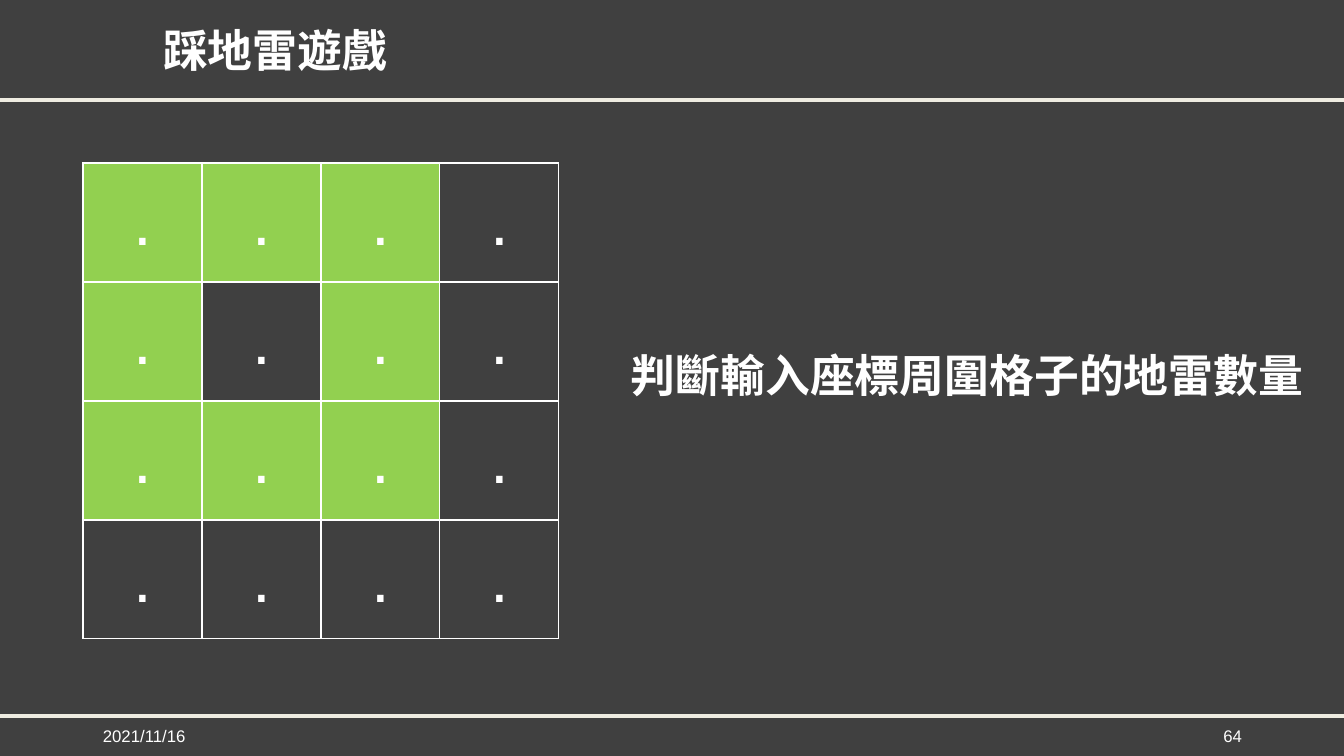
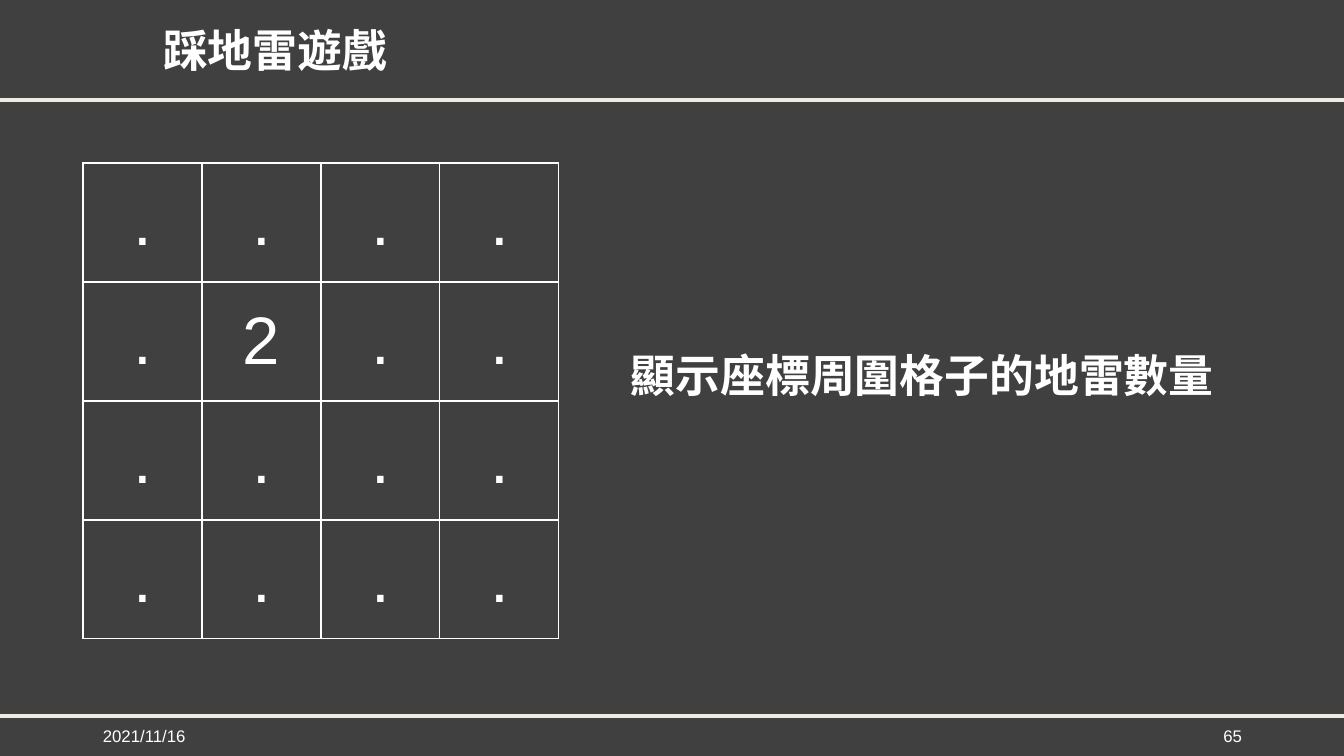
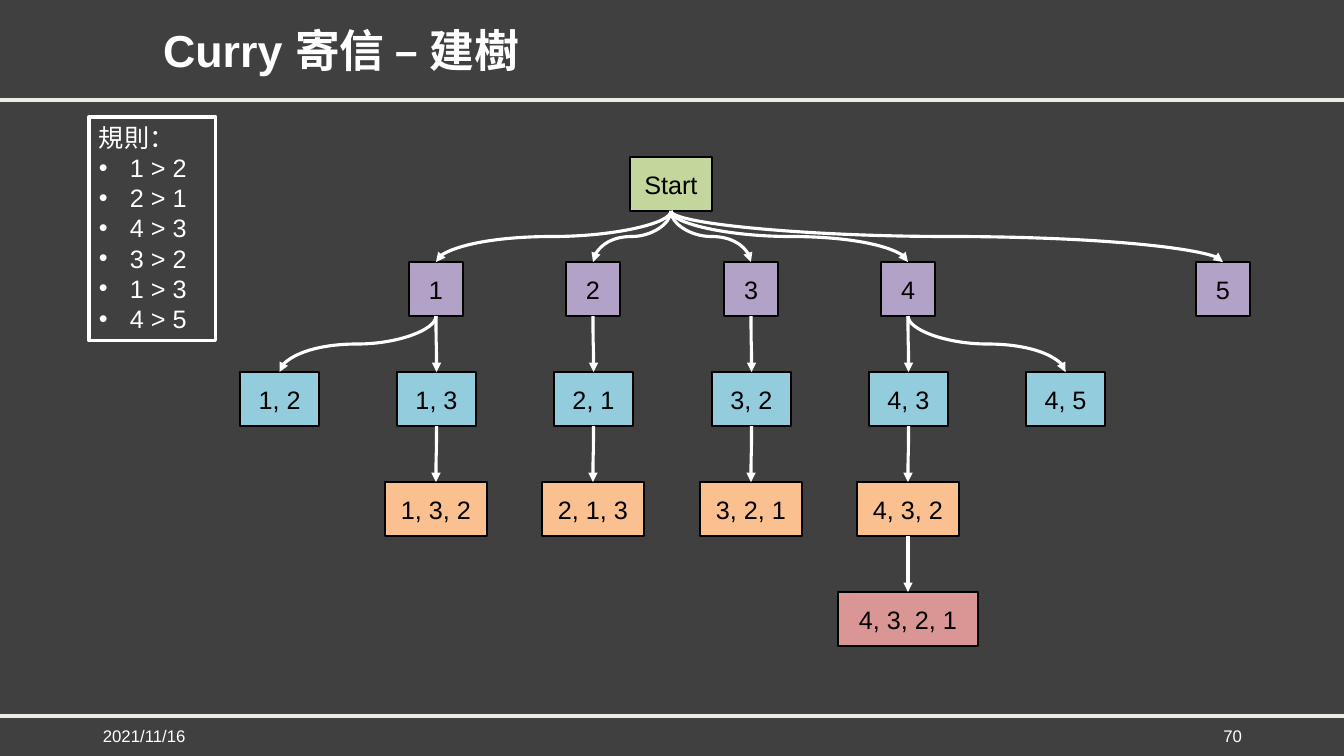
import lxml.etree
import pptx
import pptx.dml.color
import pptx.enum.shapes
import pptx.enum.text
import pptx.oxml.ns
import pptx.util

RGB = pptx.dml.color.RGBColor
Pt = pptx.util.Pt
ALIGN = pptx.enum.text.PP_ALIGN
ANCHOR = pptx.enum.text.MSO_ANCHOR
FIT = pptx.enum.text.MSO_AUTO_SIZE
LINK = pptx.enum.shapes.MSO_CONNECTOR
RECT = pptx.enum.shapes.MSO_SHAPE.RECTANGLE
qn = pptx.oxml.ns.qn

GREY = RGB(0x40, 0x40, 0x40)
CREAM = RGB(0xEE, 0xEC, 0xE1)
WHITE = RGB(0xFF, 0xFF, 0xFF)
BLACK = RGB(0x00, 0x00, 0x00)
GREEN = RGB(0x92, 0xD0, 0x50)
OLIVE = RGB(0xC3, 0xD6, 0x9B)
PURPLE = RGB(0xB3, 0xA2, 0xC7)
AQUA = RGB(0x93, 0xCD, 0xDD)
ORANGE = RGB(0xFA, 0xC0, 0x90)
ROSE = RGB(0xD9, 0x96, 0x94)

FONT = "Arial"
DATE = "2021/11/16"
WIDE, HIGH = 1344, 756
SCALE = 914400 / 100.8

MINES = "踩地雷遊戲"
DOTS = ["....", "....", "....", "...."]
COUNT = ["....", ".2..", "....", "...."]
RING = {(r, c) for r in range(3) for c in range(3)} - {(1, 1)}
RULES = ["規則：", "1 > 2", "2 > 1", "4 > 3", "3 > 2", "1 > 3", "4 > 5"]
LEVELS = [(54, PURPLE), (79, AQUA), (102, ORANGE), (140, ROSE)]
NODES = {
    "1": 1, "2": 2, "3": 3, "4": 4, "5": 6,
    "1, 2": 0, "1, 3": 1, "2, 1": 2, "3, 2": 3, "4, 3": 4, "4, 5": 5,
    "1, 3, 2": 1, "2, 1, 3": 2, "3, 2, 1": 3, "4, 3, 2": 4,
    "4, 3, 2, 1": 4,
}


def px(num):
    """Turn px into EMU."""
    return round(num * SCALE)


def add(parent, tag, **attrs):
    """Append an XML child in the drawing namespace."""
    return lxml.etree.SubElement(parent, qn(tag), attrs)


def style(frame, size, color=WHITE, bold=False, align=ALIGN.LEFT, space=None):
    """Format every paragraph and run of a text frame."""
    for para in frame.paragraphs:
        para.alignment = align
        para.line_spacing = space
        for run in para.runs:
            font = run.font
            font.name, font.size, font.bold = FONT, Pt(size), bold
            font.color.rgb = color


def place(shape, x, y, w, h):
    """Set the place and size of a shape."""
    shape.left, shape.top = px(x), px(y)
    shape.width, shape.height = px(w), px(h)


def label(slide, box, text, size, anchor=ANCHOR.MIDDLE, **look):
    """Add a line of text."""
    frame = slide.shapes.add_textbox(*map(px, box)).text_frame
    frame.text = text
    frame.word_wrap = False
    frame.vertical_anchor = anchor
    style(frame, size, **look)
    return frame


def block(slide, box, text, fill, line, width, **look):
    """Add a rectangle with text."""
    shape = slide.shapes.add_shape(RECT, *map(px, box))
    shape.shadow.inherit = False
    if fill is None:
        shape.fill.background()
    else:
        shape.fill.solid()
        shape.fill.fore_color.rgb = fill
    shape.line.color.rgb = line
    shape.line.width = Pt(width)
    frame = shape.text_frame
    frame.text = text
    frame.word_wrap = False
    frame.vertical_anchor = ANCHOR.MIDDLE
    style(frame, 18, **look)
    return shape


def stroke(slide, kind, ends, color):
    """Add a plain connector without shadow."""
    link = slide.shapes.add_connector(kind, *ends)
    link.line.color.rgb = color
    link.line.width = Pt(2.25)
    add(link.element.spPr, "a:effectLst")
    return link


def theme(deck, slide):
    """Give the master its background and two rules."""
    master = deck.slide_master
    master.background.fill.solid()
    master.background.fill.fore_color.rgb = GREY
    for y in (716, 100):
        rule = stroke(slide, LINK.STRAIGHT, (0, px(y), px(WIDE), px(y)), CREAM)
        master.shapes.element.append(rule.element)


def start(deck, title, page):
    """Add a slide with title, date and number."""
    slide = deck.slides.add_slide(deck.slide_layouts[5])
    head = slide.shapes.title
    place(head, 153, 19, 1114, 68)
    frame = head.text_frame
    frame.text = title
    frame.auto_size = FIT.NONE
    frame.vertical_anchor = ANCHOR.MIDDLE
    style(frame, 32, bold=True, space=0.9)
    label(slide, (93, 716, 107, 40), DATE, 12)
    label(slide, (1145, 716, 107, 40), page, 12, align=ALIGN.RIGHT)
    return slide


def border(cell):
    """Draw white lines on all sides of a cell."""
    props = cell._tc.get_or_add_tcPr()
    for side in "LRTB":
        line = add(props, "a:ln" + side, w=str(Pt(1)))
        add(add(line, "a:solidFill"), "a:srgbClr", val=str(WHITE))


def board(slide, x, y, size, marks, lit):
    """Add the square table of marks with lit cells."""
    count = len(marks)
    grid = slide.shapes.add_table(count, count, *map(px, (x, y, size, size))).table
    grid.first_row = grid.horz_banding = False
    for r, row in enumerate(marks):
        grid.rows[r].height = grid.columns[r].width = px(size // count)
        for c, mark in enumerate(row):
            cell = grid.cell(r, c)
            border(cell)
            if (r, c) in lit:
                cell.fill.solid()
                cell.fill.fore_color.rgb = GREEN
            else:
                cell.fill.background()
            cell.text_frame.text = mark
            cell.vertical_anchor = ANCHOR.MIDDLE
            style(cell.text_frame, 48, align=ALIGN.CENTER)


def mines(slide, marks, lit, text, width):
    """Fill a slide with a board and its caption."""
    board(slide, 83, 163, 476, marks, lit)
    frame = label(slide, (621, 349, width, 59), text, 32, ANCHOR.TOP,
                  bold=True, space=0.9)
    frame.auto_size = FIT.SHAPE_TO_FIT_TEXT


def rules(slide, box):
    """Add the framed list of rules."""
    frame = block(slide, box, "\n".join(RULES), None, WHITE, 2.25).text_frame
    frame.vertical_anchor = ANCHOR.TOP
    for para in frame.paragraphs[1:]:
        props = para._p.get_or_add_pPr()
        props.set("marL", str(px(31)))
        props.set("indent", str(-px(31)))
        add(props, "a:buFont", typeface=FONT)
        add(props, "a:buChar", char="•")


def branch(slide, top, low):
    """Join two blocks by a curved arrow that leaves downward."""
    x, y = top.left + top.width // 2, top.top + top.height
    wide, tall = low.left + low.width // 2 - x, low.top - y
    link = stroke(slide, LINK.CURVE, (x, y, x + wide, y + tall), WHITE)
    link.begin_connect(top, 2)
    link.end_connect(low, 0)
    link.left = x + (wide - tall) // 2
    link.top = y + (tall - abs(wide)) // 2
    link.width, link.height = tall, abs(wide)
    right = wide > 0
    form = link.element.spPr.find(qn("a:xfrm"))
    form.set("rot", str((270 if right else 90) * 60000))
    form.set("flipH", str(int(right)))
    form.set("flipV", "0")
    add(link.element.spPr.find(qn("a:ln")), "a:tailEnd", type="triangle")


def tree(slide, x, y, width):
    """Add the tree, with its first column centred on x."""
    tall = 54
    look = dict(line=BLACK, width=1, color=BLACK, align=ALIGN.CENTER)
    blocks = {"": block(slide, (x + 351, y, 82, tall), "Start", OLIVE, **look)}
    for name, col in NODES.items():
        level = name.count(",")
        wide, fill = LEVELS[level]
        mid = x + width * col // 6
        box = (mid - wide // 2, y + 105 + 110 * level, wide, tall)
        blocks[name] = block(slide, box, name, fill, **look)
        branch(slide, blocks[name.rpartition(", ")[0]], blocks[name])


def main():
    """Build and save the deck."""
    deck = pptx.Presentation()
    deck.slide_width, deck.slide_height = px(WIDE), px(HIGH)
    first = start(deck, MINES, "64")
    theme(deck, first)
    mines(first, DOTS, RING, "判斷輸入座標周圍格子的地雷數量", 699)
    mines(start(deck, MINES, "65"), COUNT, (), "顯示座標周圍格子的地雷數量", 609)
    last = start(deck, "Curry 寄信 – 建樹", "70")
    tree(last, 279, 157, 944)
    rules(last, (89, 117, 127, 224))
    deck.save("out.pptx")


if __name__ == "__main__":
    main()
